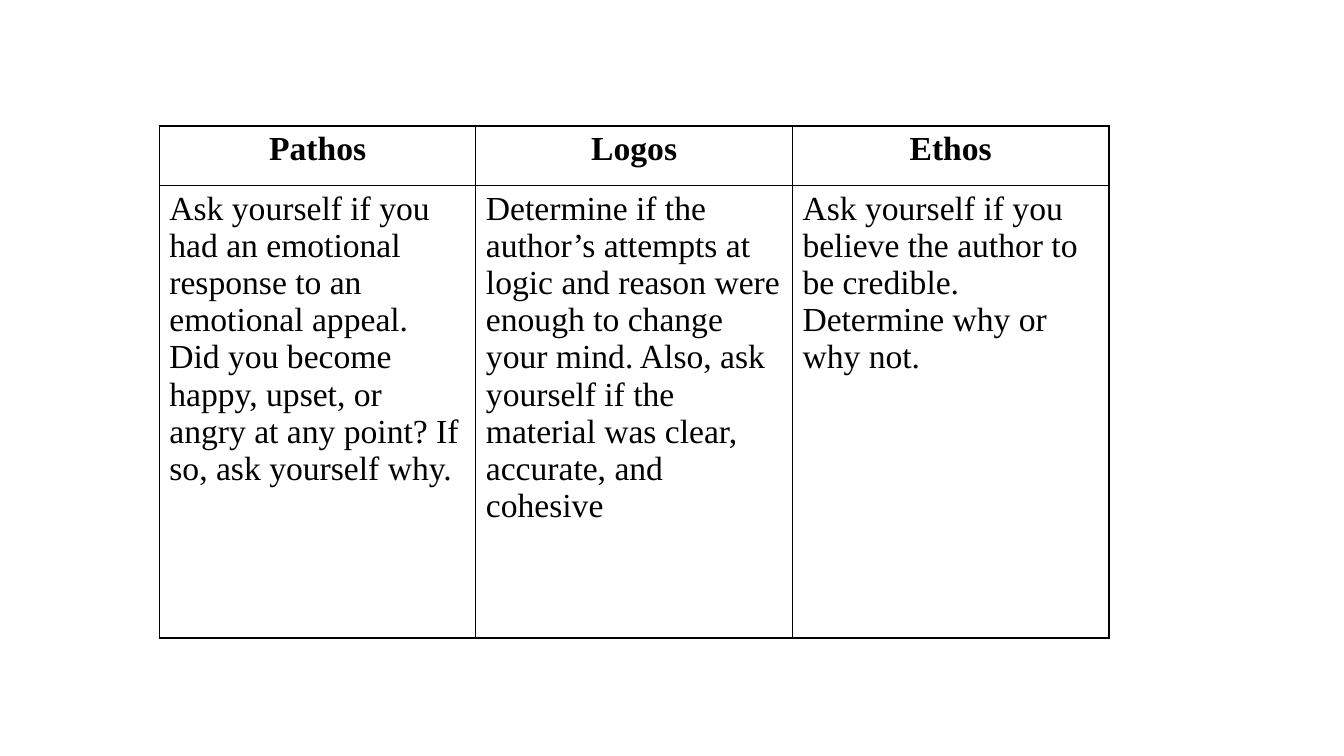
from lxml import etree
from pptx import Presentation
from pptx import util as u
from pptx.dml.color import RGBColor
from pptx.enum import text
from pptx.oxml import ns

BLACK = RGBColor(0, 0, 0)
FONT = "Times New Roman"
APPEALS = {
    "Pathos": "Ask yourself if you had an emotional response to an emotional appeal. "
              "Did you become happy, upset, or angry at any point? If so, ask yourself why.",
    "Logos": "Determine if the author’s attempts at logic and reason were enough to change "
             "your mind. Also, ask yourself if the material was clear, accurate, and cohesive",
    "Ethos": "Ask yourself if you believe the author to be credible. Determine why or why not.",
}


def add_rules(cell):
    """Draw a thin black border on all four sides of a cell."""
    props = cell._tc.get_or_add_tcPr()
    for i, side in enumerate(("lnL", "lnR", "lnT", "lnB")):
        line = etree.Element(ns.qn(f"a:{side}"), w=str(u.Pt(1)))
        fill = etree.SubElement(line, ns.qn("a:solidFill"))
        etree.SubElement(fill, ns.qn("a:srgbClr"), val=str(BLACK))
        props.insert(i, line)


def fill_cell(cell, words, head):
    """Write one cell, bold and centred if it is a heading."""
    cell.fill.background()
    add_rules(cell)
    cell.margin_left = cell.margin_right = u.Inches(0.1)
    cell.margin_top = cell.margin_bottom = u.Inches(0.05)
    par = cell.text_frame.paragraphs[0]
    par.alignment = text.PP_ALIGN.CENTER if head else text.PP_ALIGN.LEFT
    run = par.add_run()
    run.text = words
    run.font.name = FONT
    run.font.size = u.Pt(24)
    run.font.bold = head
    run.font.color.rgb = BLACK


def add_grid(slide, left, top, width, height, head=0.59):
    """Place the table of appeals in the given box, in inches."""
    box = [u.Inches(n) for n in (left, top, width, height)]
    grid = slide.shapes.add_table(2, len(APPEALS), *box).table
    grid.first_row = grid.horz_banding = False
    grid.rows[0].height = u.Inches(head)
    grid.rows[1].height = u.Inches(height - head)
    for col, (name, task) in enumerate(APPEALS.items()):
        grid.columns[col].width = u.Inches(width / len(APPEALS))
        fill_cell(grid.cell(0, col), name, True)
        fill_cell(grid.cell(1, col), task, False)


def main():
    """Build and save the slide."""
    deck = Presentation()
    deck.slide_width, deck.slide_height = u.Inches(13.33), u.Inches(7.5)
    slide = deck.slides.add_slide(deck.slide_layouts[6])
    add_grid(slide, 1.58, 1.25, 9.42, 5.08)
    deck.save("out.pptx")


if __name__ == "__main__":
    main()
